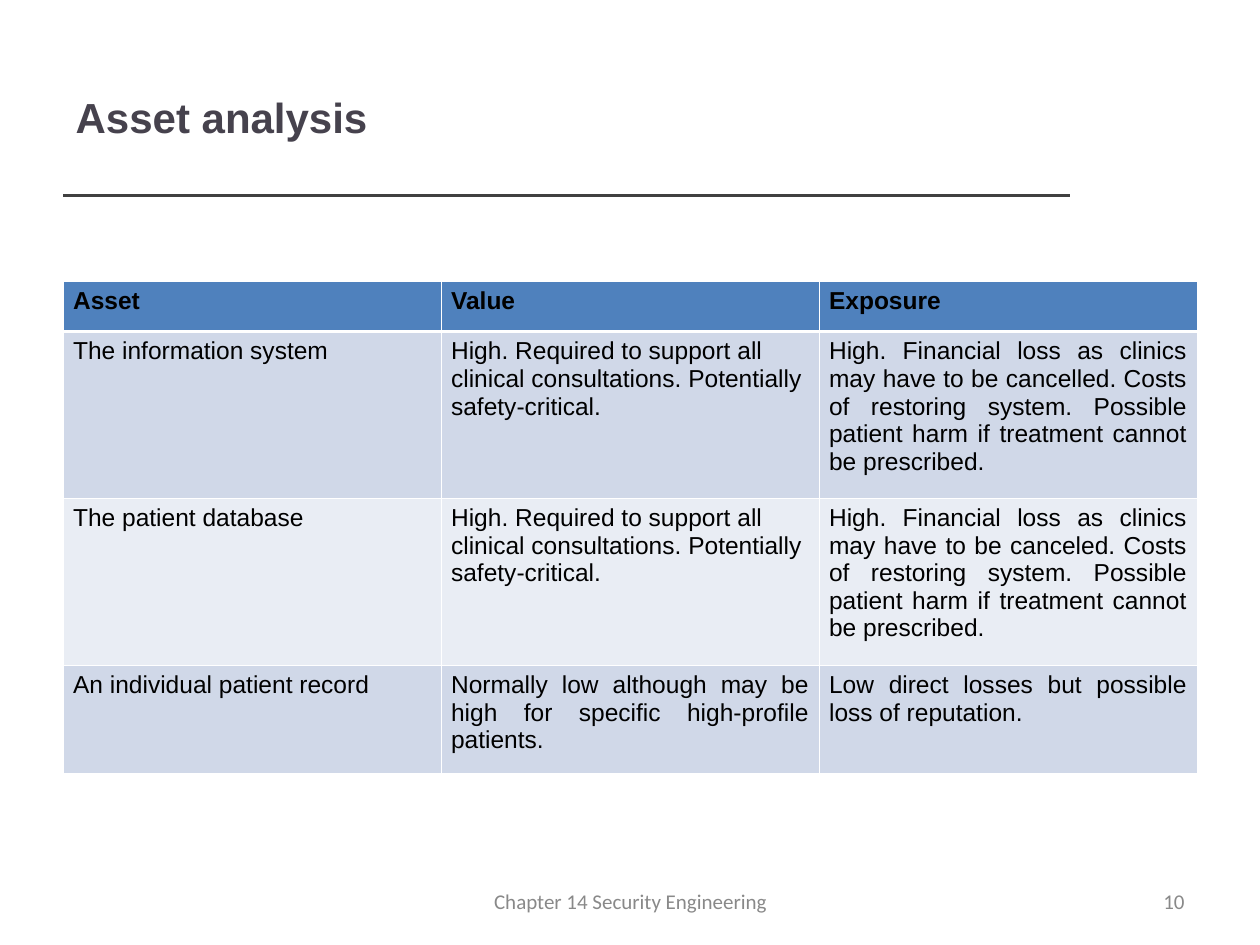
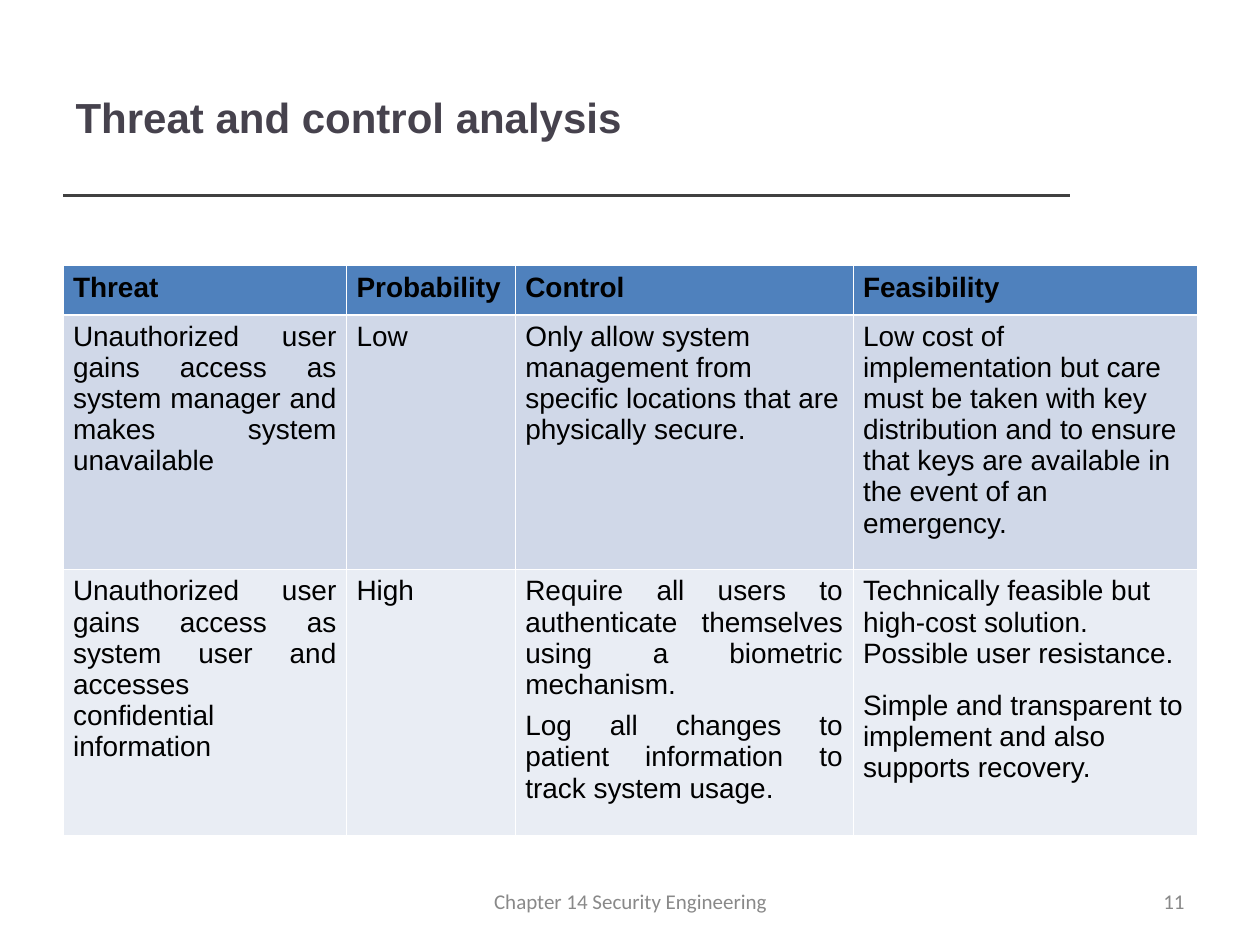
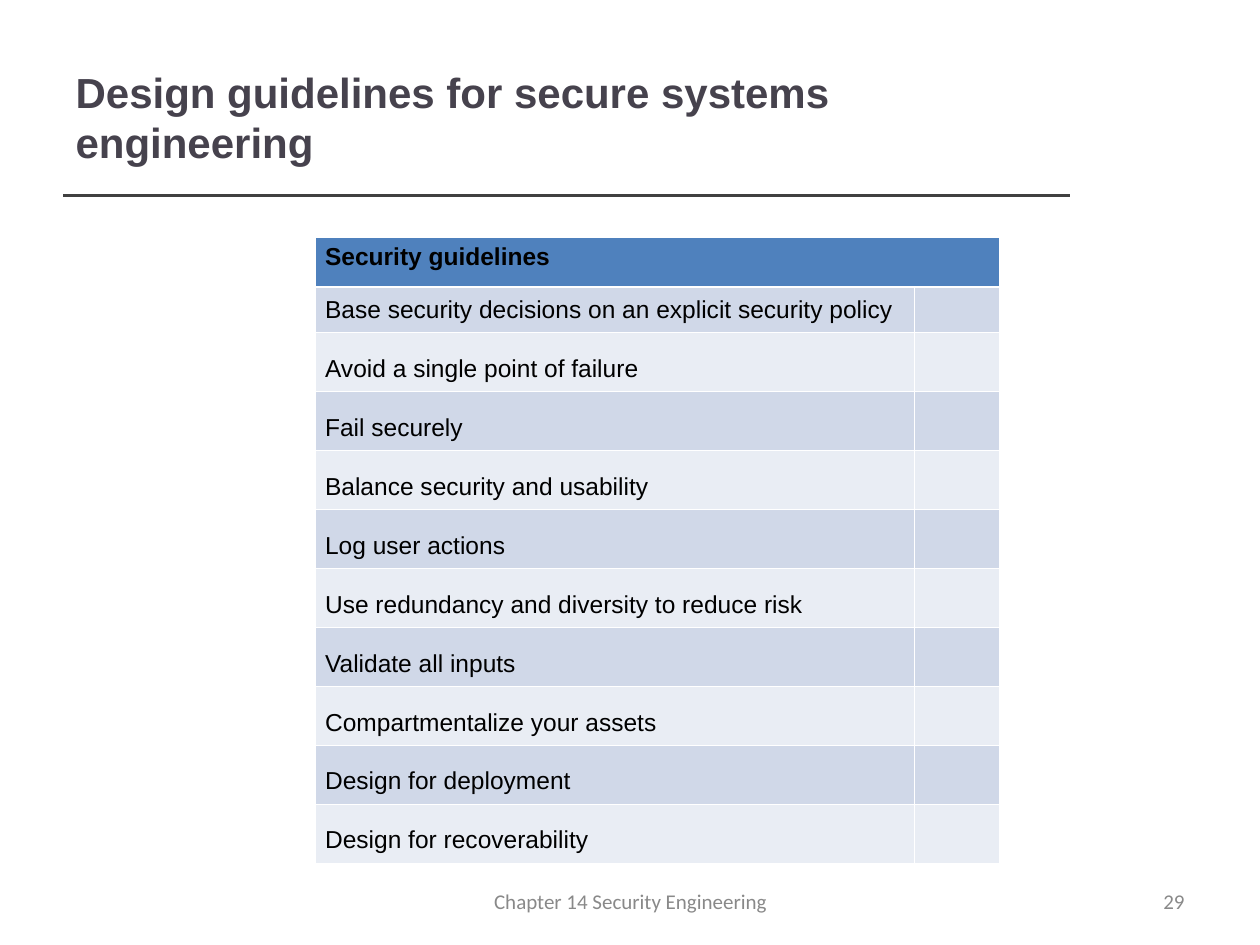
from lxml import etree
from pptx import Presentation
from pptx.dml.color import RGBColor
from pptx.enum.shapes import MSO_CONNECTOR as Connector
from pptx.enum.text import MSO_ANCHOR as Anchor, PP_ALIGN as Align
from pptx.oxml.ns import qn
from pptx.util import Inches, Pt

COLORS = {
    "title": "46424D",
    "rule": "404040",
    "footer": "898989",
    "text": "000000",
    "header": "4F81BD",
    "odd_row": "D0D8E8",
    "even_row": "E9EDF4",
    "border": "FFFFFF",
}
THIN, THICK = 0.45, 1.47

presentation = Presentation()
presentation.slide_width = Inches(10)
presentation.slide_height = Inches(7.5)
UNIT = presentation.slide_width / 100
TITLE_ONLY = presentation.slide_layouts[5]


def add_text(paragraph, text, size, color, align, font="Arial", bold=False):
    paragraph.alignment = align
    run = paragraph.add_run()
    run.text = text
    run.font.name = font
    run.font.size = Pt(size)
    run.font.bold = bold
    run.font.color.rgb = RGBColor.from_string(COLORS[color])


def set_borders(cell, top, bottom):
    properties = cell._tc.get_or_add_tcPr()
    sides = [("a:lnL", THIN), ("a:lnR", THIN), ("a:lnT", top), ("a:lnB", bottom)]
    for position, (tag, width) in enumerate(sides):
        line = etree.Element(qn(tag), w=str(Pt(width)))
        fill = etree.SubElement(line, qn("a:solidFill"))
        etree.SubElement(fill, qn("a:srgbClr"), val=COLORS["border"])
        properties.insert(position, line)


SLIDES = [
    {
        "title": "Asset analysis",
        "number": 10,
        "origin": (5, 22.3),
        "columns": [30] * 3,
        "heights": [4, 13.25, 13.25, 8.6],
        "size": 14,
        "left_aligned": [(1, 1), (2, 1)],
        "rows": [
            ["Asset", "Value", "Exposure"],
            [
                "The information system",
                "High. Required to support all clinical consultations. Potentially safety-critical.",
                "High. Financial loss as clinics may have to be cancelled. Costs of restoring system. "
                "Possible patient harm if treatment cannot be prescribed.",
            ],
            [
                "The patient database",
                "High. Required to support all clinical consultations. Potentially safety-critical.",
                "High. Financial loss as clinics may have to be canceled. Costs of restoring system. "
                "Possible patient harm if treatment cannot be prescribed.",
            ],
            [
                "An individual patient record",
                "Normally low although may be high for specific high-profile patients.",
                "Low direct losses but possible loss of reputation.",
            ],
        ],
    },
    {
        "title": "Threat and control analysis",
        "number": 11,
        "origin": (5, 21.1),
        "columns": [22.5, 13.4, 26.8, 27.3],
        "heights": [3.9, 20.2, 21.1],
        "size": 16,
        "left_aligned": [(1, 2), (1, 3), (2, 3)],
        "paragraph_gaps": {(2, 2): 6, (2, 3): 12},
        "rows": [
            ["Threat", "Probability", "Control", "Feasibility"],
            [
                "Unauthorized user gains access as system manager and makes system unavailable",
                "Low",
                "Only allow system management from specific locations that are physically secure.",
                "Low cost of implementation but care must be taken with key distribution "
                "and to ensure that keys are available in the event of an emergency.",
            ],
            [
                "Unauthorized user gains access as system user and accesses confidential information",
                "High",
                "Require all users to authenticate themselves using a biometric mechanism.\n"
                "Log all changes to patient information to track system usage.",
                "Technically feasible but high-cost solution. Possible user resistance.\n"
                "Simple and transparent to implement and also supports recovery.",
            ],
        ],
    },
    {
        "title": "Design guidelines for secure systems engineering",
        "number": 29,
        "origin": (25, 18.8),
        "columns": [47.6, 6.7],
        "heights": [4, 3.6] + [4.68] * 9,
        "size": 14,
        "guidelines": True,
        "rows": [
            [text, ""]
            for text in [
                "Security guidelines",
                "Base security decisions on an explicit security policy",
                "Avoid a single point of failure",
                "Fail securely",
                "Balance security and usability",
                "Log user actions",
                "Use redundancy and diversity to reduce risk",
                "Validate all inputs",
                "Compartmentalize your assets",
                "Design for deployment",
                "Design for recoverability",
            ]
        ],
    },
]

for content in SLIDES:
    slide = presentation.slides.add_slide(TITLE_ONLY)
    title = slide.shapes.title
    title.left, title.top, title.width, title.height = [int(n * UNIT) for n in (5, 3, 79.8, 12.5)]
    title.text_frame.vertical_anchor = Anchor.MIDDLE
    add_text(title.text_frame.paragraphs[0], content["title"], 24, "title", Align.LEFT, bold=True)

    rule = slide.shapes.add_connector(
        Connector.STRAIGHT, *[int(n * UNIT) for n in (5, 15.5, 84.9, 15.5)]
    )
    rule.line.color.rgb = RGBColor.from_string(COLORS["rule"])
    rule.line.width = Pt(2)
    etree.SubElement(rule._element.spPr, qn("a:effectLst"))

    rows, columns, heights = content["rows"], content["columns"], content["heights"]
    frame = [*content["origin"], sum(columns), sum(heights)]
    table = slide.shapes.add_table(
        len(rows), len(columns), *[int(n * UNIT) for n in frame]
    ).table
    table.first_row = table.horz_banding = False
    for column, width in zip(table.columns, columns):
        column.width = int(width * UNIT)
    for row, height in zip(table.rows, heights):
        row.height = int(height * UNIT)

    guidelines = content.get("guidelines", False)
    for row_index, texts in enumerate(rows):
        is_header = row_index == 0
        band = "header" if is_header else "odd_row" if row_index % 2 else "even_row"
        for column_index, text in enumerate(texts):
            place = (row_index, column_index)
            cell = table.cell(*place)
            cell.fill.solid()
            cell.fill.fore_color.rgb = RGBColor.from_string(COLORS[band])
            set_borders(cell, THICK if row_index == 1 else THIN, THICK if is_header else THIN)
            cell.margin_left = cell.margin_right = Inches(0.08)
            cell.margin_top = cell.margin_bottom = Inches(0.05 if text else 0)
            if not text:
                continue
            if guidelines and not is_header:
                cell.vertical_anchor = Anchor.MIDDLE
            align = Align.LEFT if place in content.get("left_aligned", []) else Align.JUSTIFY
            for index, line in enumerate(text.split("\n")):
                if index:
                    paragraph = cell.text_frame.add_paragraph()
                    paragraph.space_before = Pt(content["paragraph_gaps"][place])
                else:
                    paragraph = cell.text_frame.paragraphs[0]
                if guidelines and row_index > 1:
                    paragraph.line_spacing = 1.5
                add_text(paragraph, line, content["size"], "text", align, bold=is_header)
    if guidelines:
        table.cell(0, 0).merge(table.cell(0, 1))

    for left, width, text, align in [
        (34.2, 31.7, "Chapter 14 Security Engineering", Align.CENTER),
        (71.7, 23.3, str(content["number"]), Align.RIGHT),
    ]:
        footer = slide.shapes.add_textbox(*[int(n * UNIT) for n in (left, 69.5, width, 4)])
        footer.text_frame.word_wrap = True
        footer.text_frame.vertical_anchor = Anchor.MIDDLE
        add_text(footer.text_frame.paragraphs[0], text, 12, "footer", align, font="Calibri")

presentation.save("out.pptx")
